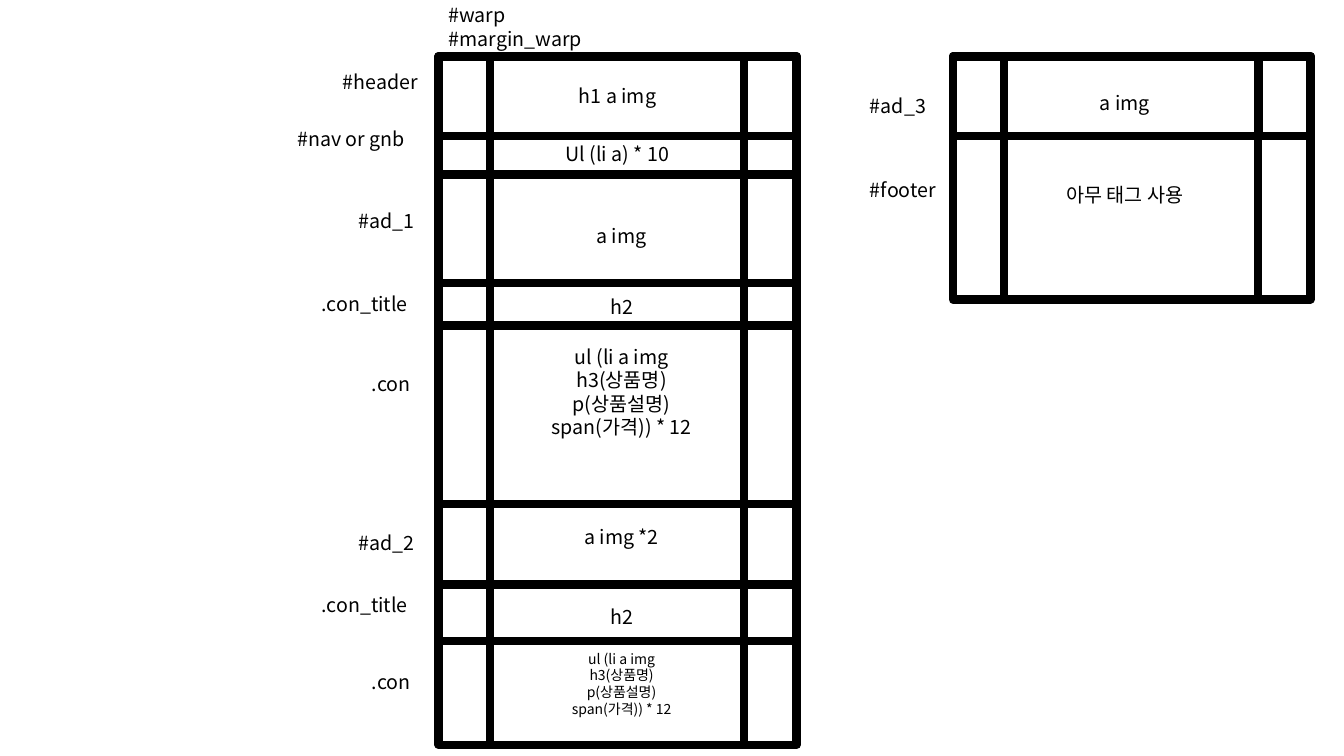
from lxml.etree import SubElement
from pptx import Presentation
from pptx.dml.color import RGBColor
from pptx.enum.shapes import MSO_CONNECTOR, MSO_SHAPE
from pptx.enum.text import MSO_AUTO_SIZE, PP_ALIGN
from pptx.oxml.ns import qn
from pptx.util import Inches, Pt

FONT = "Noto Sans CJK KR"
INK = "000000"
PAPER = "FFFFFF"
COLUMN_WIDTH = 3.55
MARGIN = 0.51
CENTER_WIDTH = 2.52
HEADER_HEIGHT = 0.79
TEXT_WIDTH = 1.61
LINE_HEIGHT = 0.34
PRODUCT_LIST = ["ul (li a img", "h3(상품명)", "p(상품설명)", "span(가격)) * 12"]


def color(value):
    return RGBColor.from_string(value)


def add_box(slide, left, top, width, height):
    shape = slide.shapes.add_shape(
        MSO_SHAPE.RECTANGLE, Inches(left), Inches(top), Inches(width), Inches(height))
    shape.shadow.inherit = False
    shape.fill.solid()
    shape.fill.fore_color.rgb = color(PAPER)
    shape.line.color.rgb = color(INK)
    shape.line.width = Pt(6)


def add_line(slide, start_x, start_y, end_x, end_y):
    connector = slide.shapes.add_connector(
        MSO_CONNECTOR.STRAIGHT, Inches(start_x), Inches(start_y), Inches(end_x), Inches(end_y))
    connector.line.color.rgb = color(INK)
    connector.line.width = Pt(6)
    SubElement(connector._element.spPr, qn("a:effectLst"))


def add_text(slide, lines, left, top, width, height=LINE_HEIGHT, size=14,
             alignment=PP_ALIGN.LEFT):
    box = slide.shapes.add_textbox(Inches(left), Inches(top), Inches(width), Inches(height))
    frame = box.text_frame
    frame.word_wrap = True
    frame.auto_size = MSO_AUTO_SIZE.SHAPE_TO_FIT_TEXT
    for index, line in enumerate(lines):
        paragraph = frame.add_paragraph() if index else frame.paragraphs[0]
        paragraph.alignment = alignment
        run = paragraph.add_run()
        run.text = line
        run.font.size = Pt(size)
        run.font.name = FONT
        run.font.color.rgb = color(INK)
        east_asian = SubElement(run._r.get_or_add_rPr(), qn("a:ea"))
        east_asian.set("typeface", FONT)


def add_page_column(slide, left, top, height, dividers, labels, contents):
    add_box(slide, left, top, COLUMN_WIDTH, height)
    add_box(slide, left + MARGIN, top, CENTER_WIDTH, height)
    add_box(slide, left, top, COLUMN_WIDTH, HEADER_HEIGHT)
    for offset in (MARGIN, MARGIN + CENTER_WIDTH):
        add_line(slide, left + offset, top + HEADER_HEIGHT, left + offset, top + 0.03)
    for shift, offset in dividers:
        add_line(slide, left + shift, top + offset, left + shift + COLUMN_WIDTH, top + offset)
    for label, shift, offset, width in labels:
        add_text(slide, [label], left + shift, top + offset, width)
    for lines, shift, offset, height, size in contents:
        add_text(slide, lines, left + shift, top + offset, TEXT_WIDTH, height, size,
                 PP_ALIGN.CENTER)


def main():
    presentation = Presentation()
    presentation.slide_width = Inches(13.33)
    presentation.slide_height = Inches(7.5)
    slide = presentation.slides.add_slide(presentation.slide_layouts[6])

    add_page_column(
        slide, 4.35, 0.56, 6.83,
        dividers=[(0, 1.17)] + [(0.04, offset) for offset in (2.25, 2.67, 4.44, 5.24, 5.8)],
        labels=[
            ("#warp", 0, -0.58, 2.06),
            ("#margin_warp", 0, -0.34, 2.06),
            ("#header", -1.05, 0.08, 1.16),
            ("#nav or gnb", -1.5, 0.65, 1.61),
            ("#ad_1", -0.89, 1.46, 1),
            (".con_title", -1.26, 2.29, 1.25),
            (".con", -0.76, 3.08, 0.75),
            ("#ad_2", -0.89, 4.66, 1),
            (".con_title", -1.26, 5.27, 1.25),
            (".con", -0.76, 6.04, 0.75),
        ],
        contents=[
            (["h1 a img"], 0.97, 0.22, LINE_HEIGHT, 14),
            (["Ul (li a) * 10"], 0.97, 0.8, LINE_HEIGHT, 14),
            (["a img"], 1.01, 1.61, LINE_HEIGHT, 14),
            (["h2"], 1.01, 2.32, LINE_HEIGHT, 14),
            (PRODUCT_LIST, 1.01, 2.81, 1.51, 14),
            (["a img *2"], 1.01, 4.6, LINE_HEIGHT, 14),
            (["h2"], 1.01, 5.39, LINE_HEIGHT, 14),
            (PRODUCT_LIST, 1.01, 5.84, 0.94, 10),
        ])

    add_page_column(
        slide, 9.45, 0.56, 2.41,
        dividers=[],
        labels=[("#ad_3", -0.92, 0.32, 1), ("#footer", -0.92, 1.16, 1)],
        contents=[
            (["a img"], 0.9, 0.29, LINE_HEIGHT, 14),
            (["아무 태그 사용"], 0.9, 1.21, LINE_HEIGHT, 14),
        ])

    presentation.save("out.pptx")


if __name__ == "__main__":
    main()
